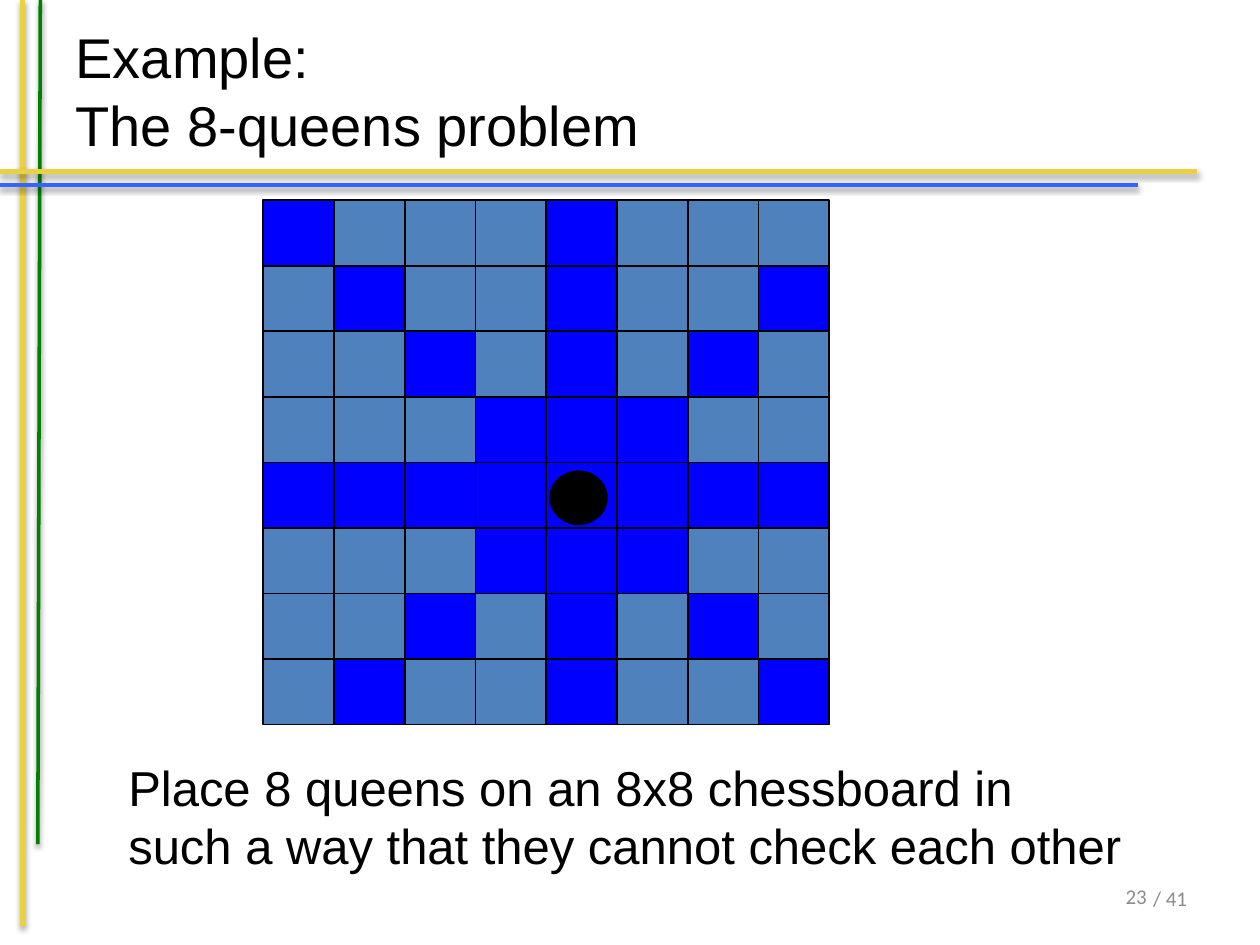
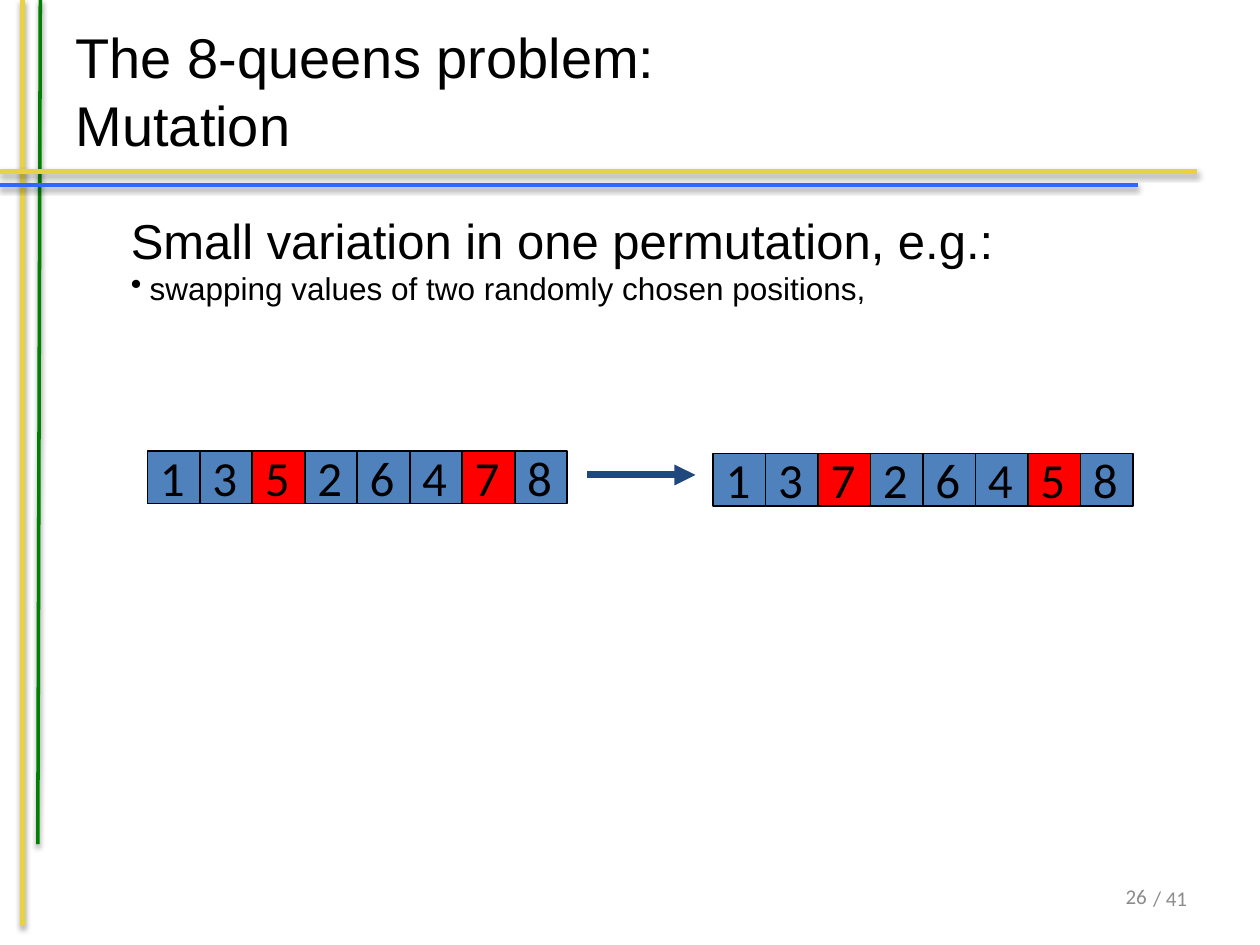
from lxml import etree
from pptx import Presentation
from pptx.dml.color import RGBColor
from pptx.enum.shapes import MSO_CONNECTOR, MSO_SHAPE
from pptx.enum.text import MSO_ANCHOR, MSO_AUTO_SIZE, PP_ALIGN
from pptx.oxml.ns import qn
from pptx.util import Inches, Pt

LINE = MSO_CONNECTOR.STRAIGHT
RECT, OVAL = MSO_SHAPE.RECTANGLE, MSO_SHAPE.OVAL
LEFT, CENTER, RIGHT = PP_ALIGN.LEFT, PP_ALIGN.CENTER, PP_ALIGN.RIGHT
TOP, MIDDLE = MSO_ANCHOR.TOP, MSO_ANCHOR.MIDDLE

COLORS = {
    "yellow": "E8D241", "green": "008000", "rule": "3366FF",
    "black": "000000", "gray": "8C8C8C", "cell": "4F81BD",
    "attacked": "0000FF", "swapped": "FF0000", "arrow": "1F497D",
}
RULES = [  # start, end, colour, width
    ((0.18, 0), (0.18, 7.35), "yellow", 3),
    ((0.32, 0), (0.3, 6.7), "green", 2),
    ((0, 1.36), (9.5, 1.36), "yellow", 3),
    ((0, 1.47), (9.03, 1.47), "rule", 2),
]
BOARD_SIZE = 8
GENE = 0.4165


def rgb(name):
    """Return a palette colour."""
    return RGBColor.from_string(COLORS[name])


def set_font(p, size, face="Arial", color="black"):
    """Format all text of a paragraph."""
    p.font.size, p.font.name = Pt(size), face
    p.font.color.rgb = rgb(color)


def add_line(shapes, start, end, color, width, shadow=False):
    """Draw a straight line, with a soft shadow if wanted."""
    line = shapes.add_connector(LINE, *map(Inches, start + end))
    line.line.color.rgb, line.line.width = rgb(color), Pt(width)
    effects = etree.SubElement(line._element.spPr, qn("a:effectLst"))
    if shadow:
        outer = etree.SubElement(effects, qn("a:outerShdw"),
                                 blurRad=str(Pt(3.1)), dist=str(Pt(1.6)),
                                 dir="5400000", rotWithShape="0")
        black = etree.SubElement(outer, qn("a:srgbClr"), val=COLORS["black"])
        etree.SubElement(black, qn("a:alpha"), val="38000")
    return line


def add_arrow(shapes, start, end):
    """Draw a line that ends in an arrowhead."""
    line = add_line(shapes, start, end, "arrow", 4)
    etree.SubElement(line.line._get_or_add_ln(), qn("a:tailEnd"), type="triangle")


def add_shape(shapes, kind, box, fill):
    """Draw a filled shape with a thin black outline."""
    sp = shapes.add_shape(kind, *map(Inches, box))
    sp.shadow.inherit = False
    sp.fill.solid()
    sp.fill.fore_color.rgb = rgb(fill)
    sp.line.color.rgb, sp.line.width = rgb("black"), Pt(1)


def add_text(shapes, box, lines, face="Arial", color="black",
             align=LEFT, anchor=TOP, wrap=True):
    """Add a text box from (text, size) lines and return its paragraphs."""
    tf = shapes.add_textbox(*map(Inches, box)).text_frame
    tf.word_wrap, tf.vertical_anchor = wrap, anchor
    for i, (text, size) in enumerate(lines):
        p = tf.add_paragraph() if i else tf.paragraphs[0]
        p.text, p.alignment = text, align
        set_font(p, size, face, color)
    return tf.paragraphs


def add_bullet(p, indent):
    """Give a paragraph a hanging round bullet."""
    pPr = p._p.get_or_add_pPr()
    pPr.set("marL", str(Inches(indent)))
    pPr.set("indent", str(-Inches(indent)))
    bullet = etree.Element(qn("a:buChar"), char="\u2022")
    pPr.insert(0, bullet)


def add_slide(prs, title, number):
    """Add a slide with rules, title and page number."""
    slide = prs.slides.add_slide(prs.slide_layouts[5])
    for rule in RULES:
        add_line(slide.shapes, *rule, shadow=True)
    for left, top, text in ((8.93, 6.85, "/ 41"), (8.61, 6.84, str(number))):
        add_text(slide.shapes, (left, top, 0.59, 0.55), [(text, 12)],
                 "Calibri", "gray", RIGHT, MIDDLE)
    sp = slide.shapes.title
    sp.left, sp.top, sp.width, sp.height = map(Inches, (0.5, 0.09, 9, 1.25))
    tf = sp.text_frame
    tf.auto_size, tf.vertical_anchor = MSO_AUTO_SIZE.NONE, MIDDLE
    p = tf.paragraphs[0]
    p.text, p.alignment = title, LEFT
    set_font(p, 32)
    return slide


def add_board(slide, left, top, width, height, queen):
    """Draw a chessboard, marking all squares that the queen attacks."""
    shapes = slide.shapes.add_group_shape().shapes
    queen_row, queen_col = queen
    for row in range(BOARD_SIZE):
        for col in range(BOARD_SIZE):
            down, across = abs(row - queen_row), abs(col - queen_col)
            attacked = down == 0 or across == 0 or down == across
            add_shape(shapes, RECT,
                      (left + col * width, top + row * height, width, height),
                      "attacked" if attacked else "cell")
    add_shape(shapes, OVAL, (left + queen_col * width + 0.03,
                             top + queen_row * height + 0.07, 0.45, 0.42), "black")


def add_permutation(slide, left, top, digits, swapped):
    """Draw a row of digit cells, highlighting the swapped digits."""
    shapes = slide.shapes.add_group_shape().shapes
    for i, digit in enumerate(digits):
        x = left + i * GENE
        add_shape(shapes, RECT, (x, top, GENE, GENE),
                  "swapped" if digit in swapped else "cell")
        add_text(shapes, (x, top - 0.08, 0.39, 0.56), [(digit, 28)],
                 "Calibri", align=CENTER, wrap=False)


def main():
    """Build both slides."""
    prs = Presentation()
    prs.slide_width, prs.slide_height = Inches(10), Inches(7.5)

    slide = add_slide(prs, "Example: \vThe 8-queens problem", 23)
    add_board(slide, 2.09, 1.59, 0.5615, 0.52, queen=(4, 4))
    add_text(slide.shapes, (0.92, 5.96, 8.21, 1.03),
             [("Place 8 queens on an 8x8 chessboard in", 28),
              ("such a way that they cannot check each other", 28)])

    slide = add_slide(prs, "The 8-queens problem: \vMutation", 26)
    paragraphs = add_text(
        slide.shapes, (0.94, 1.62, 8.17, 0.96),
        [("Small variation in one permutation, e.g.:", 28),
         ("swapping values of two randomly chosen positions,", 18)])
    add_bullet(paragraphs[1], 0.15)
    add_permutation(slide, 1.17, 3.58, "13526478", "57")
    add_arrow(slide.shapes, (4.66, 3.77), (5.52, 3.77))
    add_permutation(slide, 5.66, 3.6, "13726458", "57")

    prs.save("out.pptx")


main()
